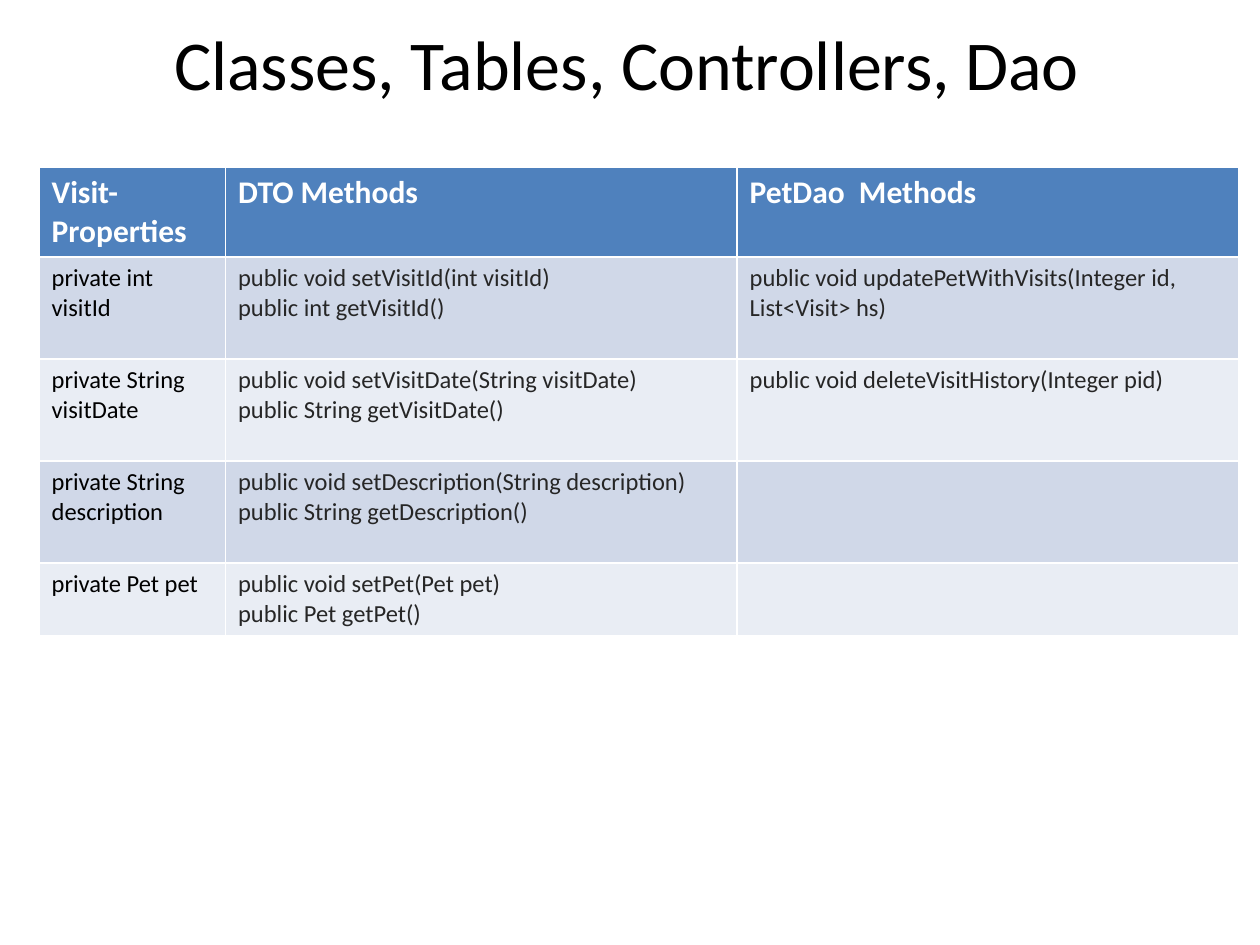
from pptx import Presentation
from pptx.dml.color import RGBColor
from pptx.enum.text import MSO_ANCHOR, PP_ALIGN
from pptx.util import Inches, Pt

# Content
TITLE = "Classes, Tables, Controllers, Dao"
ROWS = [
    ("Visit-Properties", "DTO Methods", "PetDao  Methods"),
    ("private int visitId",
     "public void setVisitId(int visitId)\npublic int getVisitId()",
     "public void updatePetWithVisits(Integer id, List<Visit> hs)"),
    ("private String visitDate",
     "public void setVisitDate(String visitDate)\npublic String getVisitDate()",
     "public void deleteVisitHistory(Integer pid)"),
    ("private String description",
     "public void setDescription(String description)\n"
     "public String getDescription()",
     ""),
    ("private Pet pet", "public void setPet(Pet pet)\npublic Pet getPet()", ""),
]

# Look and grid, in inches
FONT = "Calibri"
COLORS = {
    "header": "4F81BD", "header_text": "FFFFFF",
    "odd_row": "D0D8E8", "even_row": "E9EDF4",
    "property": "000000", "method": "262626", "title": "000000",
}
TABLE_LEFT, TABLE_TOP = 0.31, 1.33
COLUMN_WIDTHS = [1.48, 4.06, 3.98]
ROW_HEIGHTS = [0.71, 0.81, 0.81, 0.81, 0.57]


def style_text(frame, size, color, bold=False):
    for para in frame.paragraphs:
        for span in para.runs:
            span.font.name = FONT
            span.font.size = Pt(size)
            span.font.bold = bold
            span.font.color.rgb = RGBColor.from_string(COLORS[color])


def add_title(page):
    title = page.shapes.title
    title.left, title.top = Inches(0.5), Inches(0.3)
    title.width, title.height = Inches(8.95), Inches(0.4)
    frame = title.text_frame
    frame.text = TITLE
    frame.vertical_anchor = MSO_ANCHOR.MIDDLE
    frame.paragraphs[0].alignment = PP_ALIGN.CENTER
    style_text(frame, 40, "title")


def add_methods_table(page):
    # The default table style supplies the white cell borders
    table = page.shapes.add_table(
        len(ROWS), len(COLUMN_WIDTHS), Inches(TABLE_LEFT), Inches(TABLE_TOP),
        Inches(sum(COLUMN_WIDTHS)), Inches(sum(ROW_HEIGHTS))).table
    for column, width in zip(table.columns, COLUMN_WIDTHS):
        column.width = Inches(width)
    for row, height in zip(table.rows, ROW_HEIGHTS):
        row.height = Inches(height)

    for row_number, texts in enumerate(ROWS):
        is_header = row_number == 0
        band = "odd_row" if row_number % 2 else "even_row"
        for column_number, text in enumerate(texts):
            cell = table.cell(row_number, column_number)
            cell.fill.solid()
            cell.fill.fore_color.rgb = RGBColor.from_string(
                COLORS["header" if is_header else band])
            cell.text_frame.text = text
            if is_header:
                style_text(cell.text_frame, 18, "header_text", bold=True)
            else:
                color = "method" if column_number else "property"
                style_text(cell.text_frame, 14, color)


def main():
    deck = Presentation()
    deck.slide_width, deck.slide_height = Inches(10), Inches(7.5)
    page = deck.slides.add_slide(deck.slide_layouts[5])  # title only
    add_title(page)
    add_methods_table(page)
    deck.save("out.pptx")


if __name__ == "__main__":
    main()
